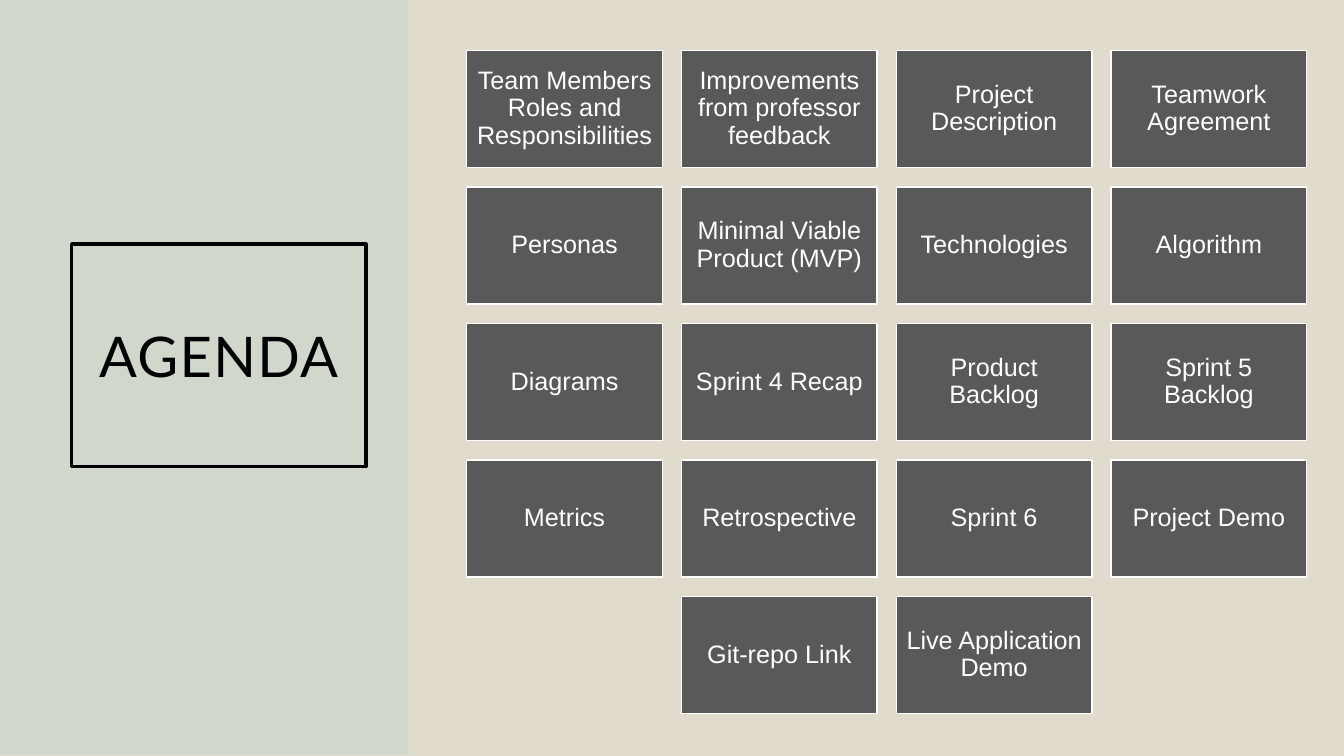
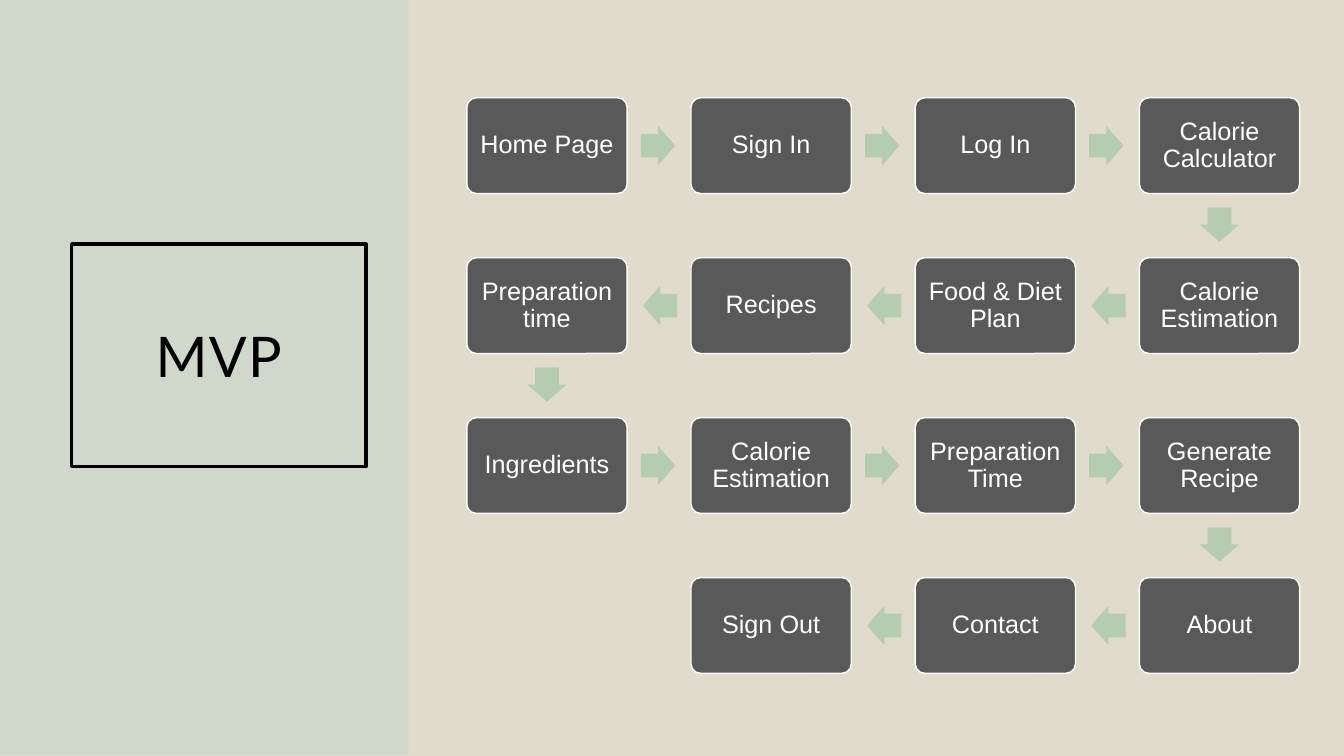
from pptx import Presentation
from pptx.dml.color import RGBColor
from pptx.enum.shapes import MSO_SHAPE
from pptx.enum.text import MSO_ANCHOR, MSO_AUTO_SIZE, PP_ALIGN
from pptx.oxml.ns import qn
from pptx.util import Inches, Pt
from lxml.etree import SubElement

COLORS = {
    "backdrop": "E0DBCC",
    "panel": "4AB5C4",
    "card": "595959",
    "arrow": "B4CCAF",
    "title": "000000",
    "light": "FFFFFF",
}
TITLE_FONT, BODY_FONT = "Lato", "Arial"
COLS = 4

AGENDA = [
    "Team Members Roles and Responsibilities",
    "Improvements from professor feedback",
    "Project Description", "Teamwork Agreement",
    "Personas", "Minimal Viable Product (MVP)", "Technologies", "Algorithm",
    "Diagrams", "Sprint 4 Recap", "Product Backlog", "Sprint 5 Backlog",
    "Metrics", "Retrospective", "Sprint 6", "Project Demo",
    "Git-repo Link", "Live Application Demo",
]
MVP_STEPS = [
    "Home Page", "Sign In", "Log In", "Calorie Calculator",
    "Calorie Estimation", "Food & Diet Plan", "Recipes", "Preparation time",
    "Ingredients", "Calorie Estimation", "Preparation Time", "Generate Recipe",
    "About", "Contact", "Sign Out",
]


def rgb(name):
    return RGBColor.from_string(COLORS[name])


def add_block(s, kind, box, fill, line=None):
    sp = s.shapes.add_shape(kind, *[Inches(v) for v in box])
    sp.shadow.inherit = False
    sp.fill.solid()
    sp.fill.fore_color.rgb = rgb(fill)
    if line:
        sp.line.color.rgb = rgb(line)
        sp.line.width = Pt(1)
    else:
        sp.line.fill.background()
    return sp


def add_run(p, text, font, size, color):
    r = p.add_run()
    r.text = text
    r.font.name = font
    r.font.size = Pt(size)
    r.font.color.rgb = rgb(color)
    return r


# Shared look: backdrop, side panel and framed title
def style_layout(prs, layout, s):
    fill = prs.slide_master.background.fill
    fill.solid()
    fill.fore_color.rgb = rgb("backdrop")

    panel = add_block(s, MSO_SHAPE.RECTANGLE, (0, 0, 4.05, 7.49), "panel")
    tint = panel.fill._xPr.find(qn("a:solidFill"))[0]
    SubElement(tint, qn("a:alpha")).set("val", "10000")
    # The panel belongs to the layout, behind its placeholders
    layout.shapes._spTree.insert(2, panel._element)

    title = layout.placeholders[0]
    title.left, title.top = Inches(0.71), Inches(2.42)
    title.width, title.height = Inches(2.92), Inches(2.21)
    title.line.color.rgb = rgb("title")
    title.line.width = Pt(2.25)


def set_title(s, text):
    tf = s.shapes.title.text_frame
    tf.word_wrap = True
    tf.auto_size = MSO_AUTO_SIZE.NONE
    tf.vertical_anchor = MSO_ANCHOR.MIDDLE
    p = tf.paragraphs[0]
    p.alignment = PP_ALIGN.CENTER
    r = add_run(p, text, TITLE_FONT, 40, "title")
    r.font._element.set("spc", "100")


def add_card(s, kind, box, text, inset):
    sp = add_block(s, kind, box, "card", "light")
    tf = sp.text_frame
    tf.word_wrap = True
    tf.vertical_anchor = MSO_ANCHOR.MIDDLE
    tf.margin_left = tf.margin_right = Inches(inset)
    tf.margin_top = tf.margin_bottom = Inches(inset)
    p = tf.paragraphs[0]
    p.alignment = PP_ALIGN.CENTER
    p.line_spacing = 0.9
    add_run(p, text, BODY_FONT, 18, "light")
    return sp


# Grid of cards whose short last row is centred
def add_card_grid(s, box, items):
    x, y, w, h = box
    card_w, card_h = 1.94, 1.16
    rows = [items[i:i + COLS] for i in range(0, len(items), COLS)]
    step_x = (w - card_w) / (COLS - 1)
    step_y = (h - card_h) / (len(rows) - 1)
    for i, row in enumerate(rows):
        indent = (COLS - len(row)) / 2
        for j, text in enumerate(row):
            place = (x + (j + indent) * step_x, y + i * step_y, card_w, card_h)
            add_card(s, MSO_SHAPE.RECTANGLE, place, text, 0.07)


def add_flow_arrow(s, start, end, card_w, card_h):
    dx = (end[0] > start[0]) - (end[0] < start[0])
    dy = end[1] > start[1]
    w, h, pull = 0.34, 0.39, 0.01
    # Midway between the cards, slightly nearer the first
    mid_x = (start[0] + end[0] + card_w) / 2 - pull * dx
    mid_y = (start[1] + end[1] + card_h) / 2 - pull * dy
    arrow = add_block(s, MSO_SHAPE.RIGHT_ARROW,
                      (mid_x - w / 2, mid_y - h / 2, w, h), "arrow")
    arrow.adjustments[0], arrow.adjustments[1] = 0.6, 0.5
    arrow.rotation = 90 if dy else 180 if dx < 0 else 0


# Flow that runs right, then left, turning at each row end
def add_snake_flow(s, box, steps):
    x, y, w, h = box
    card_w, card_h = 1.59, 0.95
    row_count = -(-len(steps) // COLS)
    step_x = (w - card_w) / (COLS - 1)
    step_y = (h - card_h) / (row_count - 1)
    spots = []
    for i in range(len(steps)):
        row, col = divmod(i, COLS)
        if row % 2:
            col = COLS - 1 - col
        spots.append((x + col * step_x, y + row * step_y))
    for spot, text in zip(spots, steps):
        card = add_card(s, MSO_SHAPE.ROUNDED_RECTANGLE,
                        (*spot, card_w, card_h), text, 0.07)
        card.adjustments[0] = 0.1
    for start, end in zip(spots, spots[1:]):
        add_flow_arrow(s, start, end, card_w, card_h)


def main():
    prs = Presentation()
    prs.slide_width, prs.slide_height = Inches(13.33), Inches(7.5)
    layout = prs.slide_layouts[5]
    pages = [
        ("AGENDA", add_card_grid, (4.63, 0.5, 8.33, 6.58), AGENDA),
        ("MVP", add_snake_flow, (4.63, 0.97, 8.26, 5.71), MVP_STEPS),
    ]
    for i, (title, build, box, items) in enumerate(pages):
        s = prs.slides.add_slide(layout)
        if i == 0:
            style_layout(prs, layout, s)
        set_title(s, title)
        build(s, box, items)
    prs.save("out.pptx")


if __name__ == "__main__":
    main()
